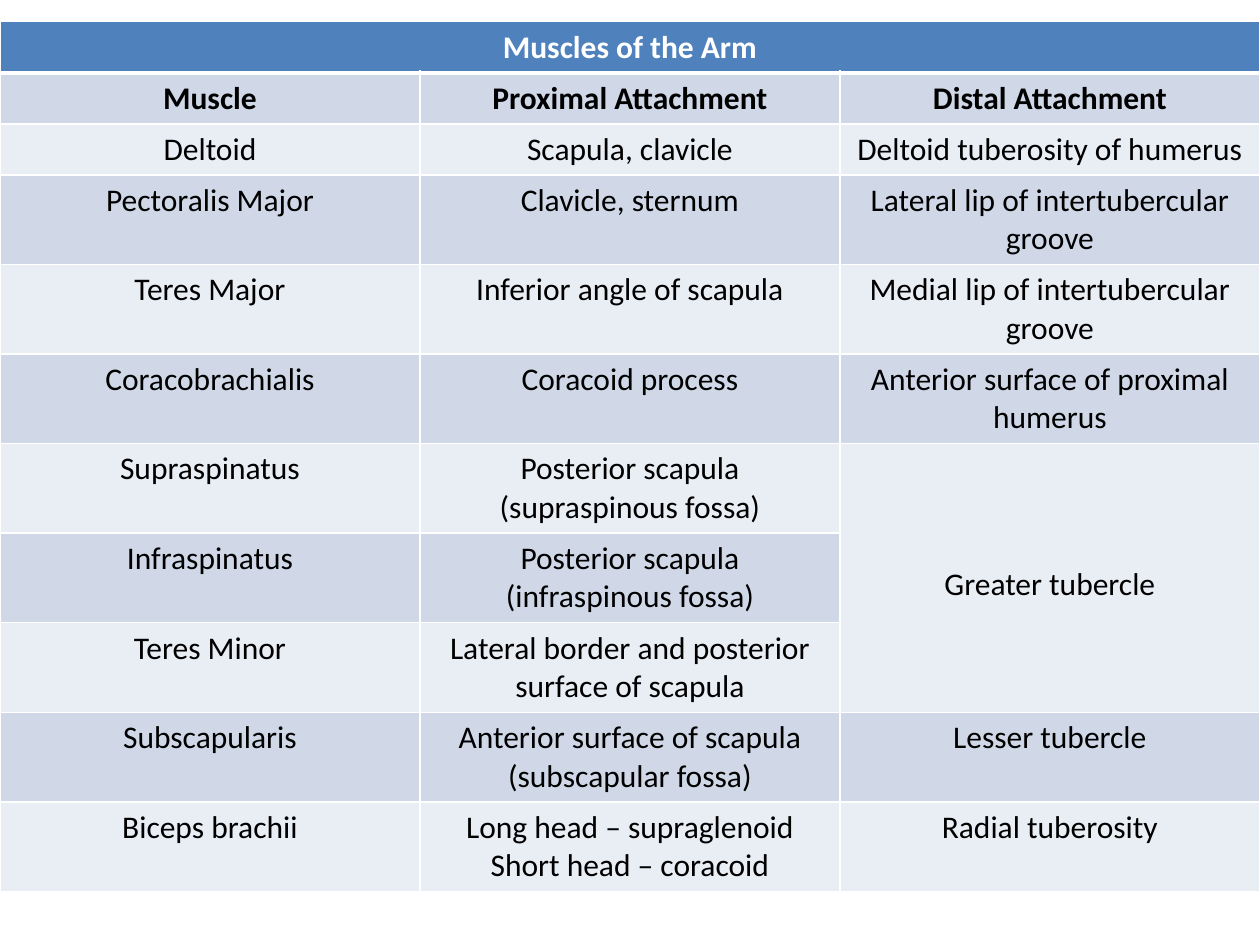
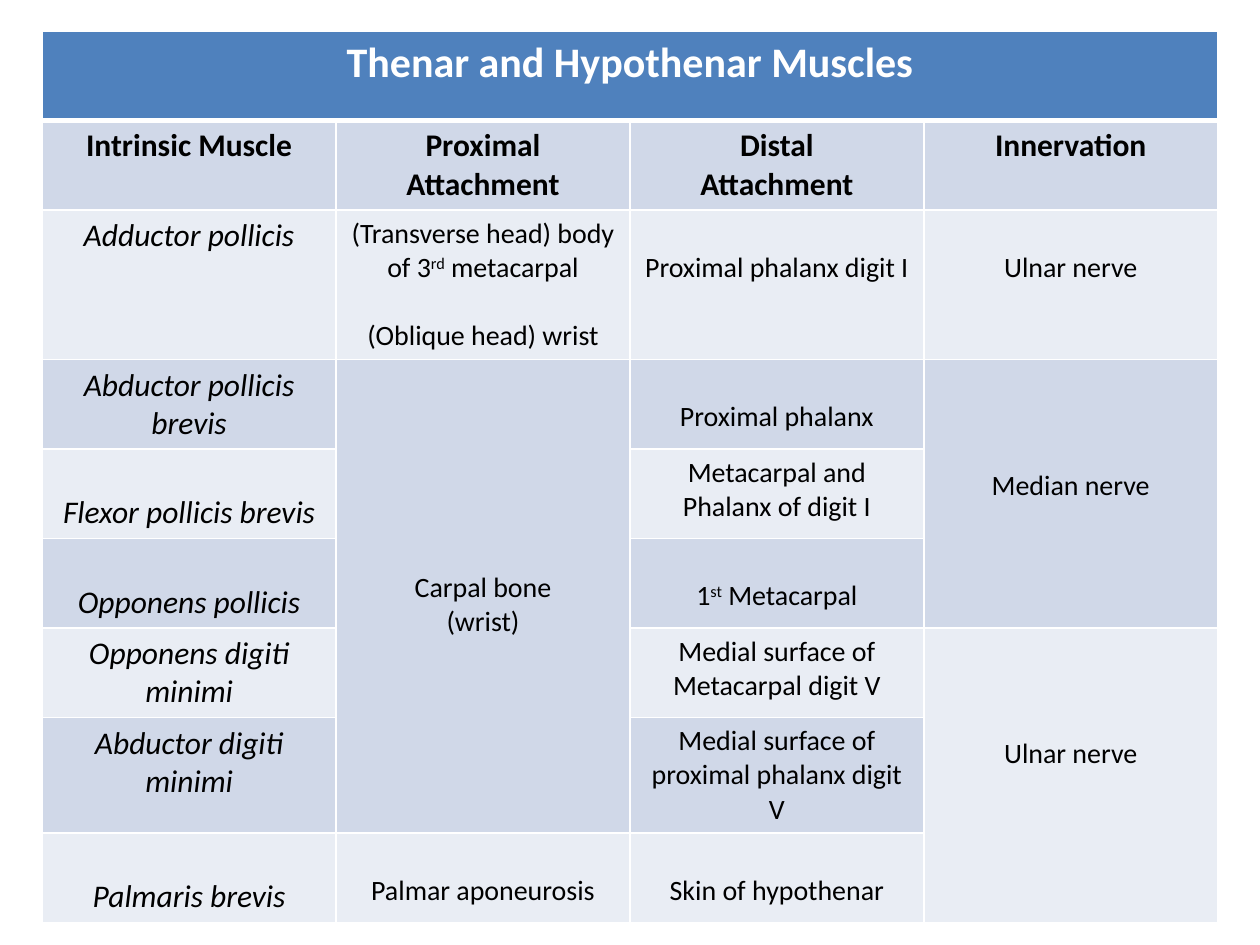
from dataclasses import dataclass
from itertools import product

from lxml.etree import SubElement
from pptx import Presentation
from pptx.dml.color import RGBColor
from pptx.enum.text import PP_ALIGN as Align
from pptx.oxml.ns import qn
from pptx.util import Inches, Pt

SLIDE_W, SLIDE_H = 10, 7.5
FONT = "Calibri"
TITLE_FILL, BANDS = "4F81BD", ("E9EDF4", "D0D8E8")
WHITE, BLACK = "FFFFFF", "000000"
LINE = 1.22      # line height as a multiple of the text size
PAD = 0.05       # inches above and below the text of a cell
LABEL_SIZE = 18  # column headings and muscle names


@dataclass(frozen=True)
class Cell:
    text: str          # "\n" starts a paragraph, ^...^ is superscript
    drop: int = 0      # lines left free above the text
    rows: int = 1      # rows spanned
    gap: int = 0       # lines left free between paragraphs


@dataclass(frozen=True)
class Row:
    cells: tuple[Cell | None, ...]  # None lies under a spanning cell
    lines: int = 2
    size: int = LABEL_SIZE


@dataclass(frozen=True)
class MuscleTable:
    title: str
    title_lines: int
    title_size: int
    width: float       # share of the slide's width, centred
    top: float         # share of the slide's height
    detail_size: int
    italic_names: bool
    rows: tuple[Row, ...]


def color(value: str) -> RGBColor:
    return RGBColor.from_string(value)


def lines_height(lines: int, size: int) -> float:
    return lines * size * LINE / 72


def row_height(lines: int, size: int) -> Inches:
    return Inches(lines_height(lines, size) + 2 * PAD)


def set_borders(cell, top: int = 1, bottom: int = 1) -> None:
    tc_pr = cell._tc.get_or_add_tcPr()
    sides = {"lnL": 1, "lnR": 1, "lnT": top, "lnB": bottom}
    for i, (tag, width) in enumerate(sides.items()):
        ln = SubElement(tc_pr, qn(f"a:{tag}"), w=str(Pt(width)))
        fill = SubElement(ln, qn("a:solidFill"))
        SubElement(fill, qn("a:srgbClr"), val=WHITE)
        tc_pr.insert(i, ln)


def fill_cell(cell, content: Cell, size: int, ink: str = BLACK,
              bold: bool = False, italic: bool = False) -> None:
    cell.margin_top = Inches(PAD + lines_height(content.drop, size))
    cell.margin_bottom = Inches(PAD)
    tf = cell.text_frame
    for i, line in enumerate(content.text.split("\n")):
        p = tf.add_paragraph() if i else tf.paragraphs[0]
        p.alignment = Align.CENTER
        if i and content.gap:
            p.space_before = Pt(content.gap * size * LINE)
        for j, piece in enumerate(line.split("^")):
            r = p.add_run()
            r.text = piece
            font = r.font
            font.name, font.size = FONT, Pt(size)
            font.bold, font.italic = bold, italic
            font.color.rgb = color(ink)
            if j % 2:
                font._element.set("baseline", "30000")


def draw_table(prs, spec_: MuscleTable) -> None:
    slide = prs.slides.add_slide(prs.slide_layouts[6])
    n_rows, n_cols = len(spec_.rows) + 1, len(spec_.rows[0].cells)
    width = spec_.width * SLIDE_W
    heights = [row_height(spec_.title_lines, LABEL_SIZE)]
    heights += [row_height(row.lines, row.size) for row in spec_.rows]
    table = slide.shapes.add_table(
        n_rows, n_cols, Inches((SLIDE_W - width) / 2),
        Inches(spec_.top * SLIDE_H), Inches(width), sum(heights)).table
    for col in table.columns:
        col.width = Inches(width / n_cols)
    for row, height in zip(table.rows, heights):
        row.height = height

    # Bands and rules
    for y, x in product(range(n_rows), range(n_cols)):
        cell = table.cell(y, x)
        cell.fill.solid()
        cell.fill.fore_color.rgb = color(BANDS[y % 2] if y else TITLE_FILL)
        set_borders(cell, top=3 if y == 1 else 1, bottom=1 if y else 3)

    # Title, column headings and muscles
    table.cell(0, 0).merge(table.cell(0, n_cols - 1))
    fill_cell(table.cell(0, 0), Cell(spec_.title), spec_.title_size, WHITE,
              bold=True)
    for y, row in enumerate(spec_.rows, 1):
        for x, content in enumerate(row.cells):
            if content is None:
                continue
            cell = table.cell(y, x)
            if content.rows > 1:
                cell.merge(table.cell(y + content.rows - 1, x))
            heading, name = y == 1, x == 0
            fill_cell(cell, content,
                      LABEL_SIZE if heading or name else spec_.detail_size,
                      bold=heading,
                      italic=name and not heading and spec_.italic_names)


def plain(*texts: str, lines: int = 2) -> Row:
    return Row(tuple(Cell(t) for t in texts), lines)


ARM = MuscleTable(
    "Muscles of the Arm", 1, 18, 1, 0.023, 18, False, (
        plain("Muscle", "Proximal Attachment", "Distal Attachment", lines=1),
        plain("Deltoid", "Scapula, clavicle", "Deltoid tuberosity of humerus",
              lines=1),
        plain("Pectoralis Major", "Clavicle, sternum",
              "Lateral lip of intertubercular groove"),
        plain("Teres Major", "Inferior angle of scapula",
              "Medial lip of intertubercular groove"),
        plain("Coracobrachialis", "Coracoid process",
              "Anterior surface of proximal humerus"),
        Row((Cell("Supraspinatus"),
             Cell("Posterior scapula\n(supraspinous fossa)"),
             Cell("Greater tubercle", drop=3, rows=3))),
        Row((Cell("Infraspinatus"),
             Cell("Posterior scapula\n(infraspinous fossa)"), None)),
        Row((Cell("Teres Minor"),
             Cell("Lateral border and posterior surface of scapula"), None)),
        plain("Subscapularis",
              "Anterior surface of scapula\n(subscapular fossa)",
              "Lesser tubercle"),
        plain("Biceps brachii",
              "Long head – supraglenoid\nShort head – coracoid",
              "Radial tuberosity"),
    ))

HAND = MuscleTable(
    "Thenar and Hypothenar Muscles", 2, 24, 0.933, 0.033, 16, True, (
        plain("Intrinsic Muscle", "Proximal Attachment",
              "Distal\nAttachment", "Innervation"),
        Row((Cell("Adductor pollicis"),
             Cell("(Transverse head) body of 3^rd^ metacarpal\n"
                  "(Oblique head) wrist", gap=1),
             Cell("Proximal phalanx digit I", drop=1),
             Cell("Ulnar nerve", drop=1)), lines=4, size=16),
        Row((Cell("Abductor pollicis brevis"),
             Cell("Carpal bone\n(wrist)", drop=6, rows=5),
             Cell("Proximal phalanx", drop=1),
             Cell("Median nerve", drop=3, rows=3))),
        Row((Cell("Flexor pollicis brevis", drop=1), None,
             Cell("Metacarpal and Phalanx of digit I"), None)),
        Row((Cell("Opponens pollicis", drop=1), None,
             Cell("1^st^ Metacarpal", drop=1), None)),
        Row((Cell("Opponens digiti minimi"), None,
             Cell("Medial surface of Metacarpal digit V"),
             Cell("Ulnar nerve", drop=3, rows=3))),
        Row((Cell("Abductor digiti minimi"), None,
             Cell("Medial surface of proximal phalanx digit V"), None),
            lines=3, size=16),
        Row((Cell("Palmaris brevis", drop=1),
             Cell("Palmar aponeurosis", drop=1),
             Cell("Skin of hypothenar", drop=1), None)),
    ))


def main() -> None:
    prs = Presentation()
    prs.slide_width, prs.slide_height = Inches(SLIDE_W), Inches(SLIDE_H)
    for muscles in (ARM, HAND):
        draw_table(prs, muscles)
    prs.save("out.pptx")


if __name__ == "__main__":
    main()
